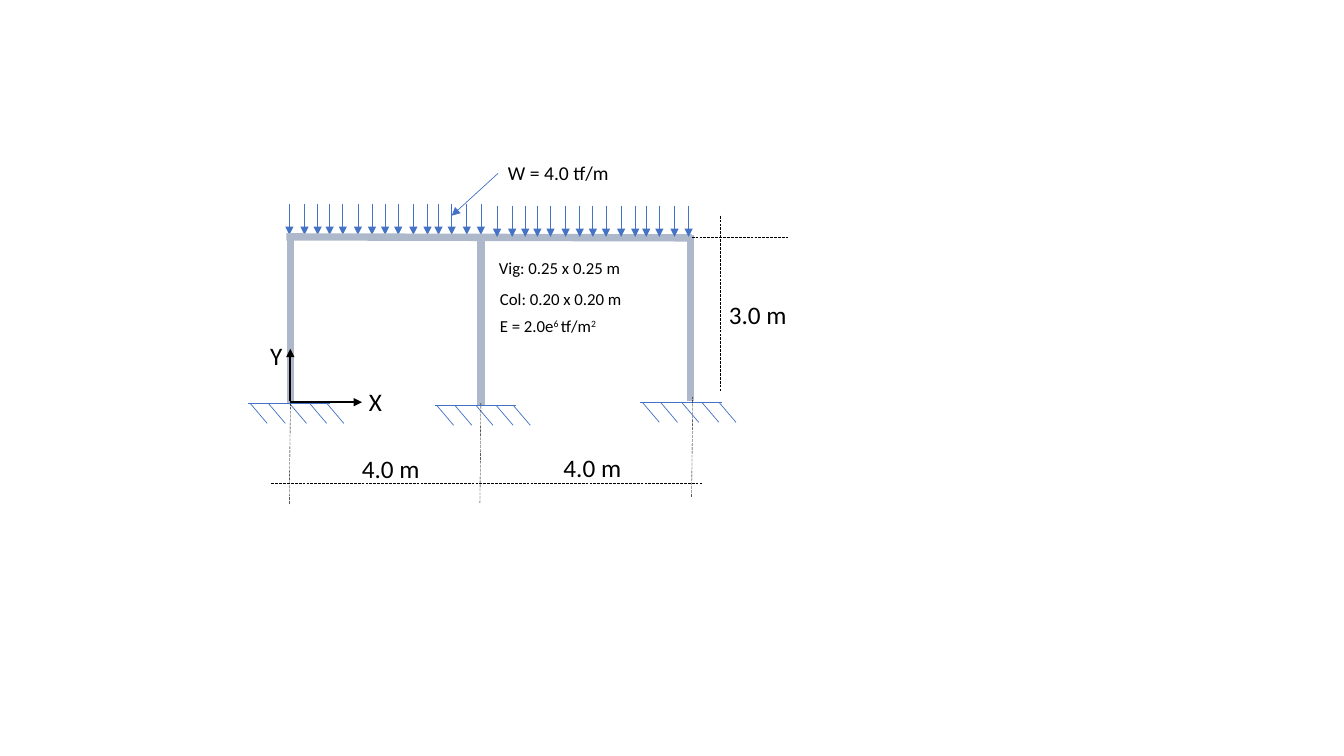
import pptx
import pptx.util
import pptx.dml.color
import pptx.enum.dml
import pptx.enum.shapes
import pptx.enum.text
import pptx.oxml.ns
import lxml.etree

Inches = pptx.util.Inches
Pt = pptx.util.Pt
RGB = pptx.dml.color.RGBColor.from_string
qn = pptx.oxml.ns.qn

theme = {
    "font": "Calibri",
    "big": 18, "mid": 14, "small": 12,
    "ink": "000000", "blue": "4472C4", "steel": "ADB9CA",
}
dash = pptx.enum.dml.MSO_LINE.LONG_DASH
styles = {
    "frame": ("steel", {"width": Pt(5.25)}, False),
    "load": ("blue", {"width": Pt(0.5)}, True),
    "ground": ("blue", {"width": Pt(0.5)}, False),
    "guide": ("ink", {"width": Pt(0.25), "dash_style": dash}, False),
    "axis": ("ink", {"width": Pt(1.25)}, True),
}

deck = pptx.Presentation()
deck.slide_width = Inches(13.33)
deck.slide_height = Inches(7.5)
slide = deck.slides.add_slide(deck.slide_layouts[6])


def draw(style, x1, y1, x2, y2):
    color, form, arrow = styles[style]
    link = slide.shapes.add_connector(
        pptx.enum.shapes.MSO_CONNECTOR.STRAIGHT,
        Inches(x1), Inches(y1), Inches(x2), Inches(y2))
    link.line.color.rgb = RGB(theme[color])
    for key, value in form.items():
        setattr(link.line, key, value)
    props = link._element.spPr
    if arrow:
        tail = lxml.etree.SubElement(props.find(qn("a:ln")), qn("a:tailEnd"))
        tail.set("type", "triangle")
    lxml.etree.SubElement(props, qn("a:effectLst"))


def label(size, x, y, width, height, *parts):
    box = slide.shapes.add_textbox(
        Inches(x), Inches(y), Inches(width), Inches(height))
    form = {"word_wrap": False,
            "auto_size": pptx.enum.text.MSO_AUTO_SIZE.SHAPE_TO_FIT_TEXT}
    for key, value in form.items():
        setattr(box.text_frame, key, value)
    para = box.text_frame.paragraphs[0]
    for index, part in enumerate(parts):
        run = para.add_run()
        run.text = part
        for key, value in {"name": theme["font"], "size": Pt(theme[size])}.items():
            setattr(run.font, key, value)
        run.font.color.rgb = RGB(theme["ink"])
        if index % 2:
            run._r.get_or_add_rPr().set("baseline", "30000")


steps = [0, 0.15, 0.28, 0.4, 0.53, 0.68, 0.82, 0.95,
         1.08, 1.23, 1.37, 1.48, 1.61, 1.76, 1.9]
bays = [(2.87, 2.02), (4.93, 2.04)]
beam = (2.84, 2.35, 6.86, 2.36)
posts = [(2.88, 4, 2.35), (4.77, 4.02, 2.36), (6.85, 3.98, 2.33)]

for bay, (left, top) in enumerate(bays):
    for step in steps:
        draw("load", left + step, top, left + step, top + 0.31)
    if bay == 0:
        for x, foot, head in posts:
            draw("frame", x, foot, x, head)
        draw("frame", *beam)

draw("load", 4.94, 1.72, 4.48, 2.14)

for left, top in [(2.46, 4), (4.31, 4.02), (6.35, 3.99)]:
    draw("ground", left + 0.81, top, left, top)
    for step in [0.02, 0.2, 0.41, 0.61, 0.78]:
        draw("ground", left + step + 0.17, top + 0.2, left + step, top)

guides = [
    (2.87, 5, 2.88, 4.01), (4.76, 4.99, 4.77, 4), (6.86, 4.93, 6.87, 3.94),
    (2.69, 4.79, 6.96, 4.79), (6.86, 2.35, 7.82, 2.35), (7.14, 2.14, 7.14, 3.89),
]
for guide in guides:
    draw("guide", *guide)

draw("axis", 2.88, 3.99, 3.59, 3.99)
draw("axis", 2.88, 3.98, 2.88, 3.46)

labels = [
    ("mid", 4.94, 1.55, 1.2, 0.34, "W = 4.0 tf/m"),
    ("small", 4.85, 2.51, 1.42, 0.3, "Vig: 0.25 x 0.25 m"),
    ("small", 4.86, 2.82, 1.43, 0.3, "Col: 0.20 x 0.20 m"),
    ("small", 4.86, 3.08, 1.2, 0.3, "E = 2.0e", "6 ", "tf/m", "2"),
    ("big", 7.13, 2.92, 0.78, 0.4, "3.0 m"),
    ("big", 3.49, 4.45, 0.78, 0.4, "4.0 m"),
    ("big", 5.49, 4.44, 0.78, 0.4, "4.0 m"),
    ("big", 3.56, 3.78, 0.33, 0.4, "X"),
    ("big", 2.58, 3.33, 0.33, 0.4, "Y"),
]
for item in labels:
    label(*item)

deck.save("out.pptx")
